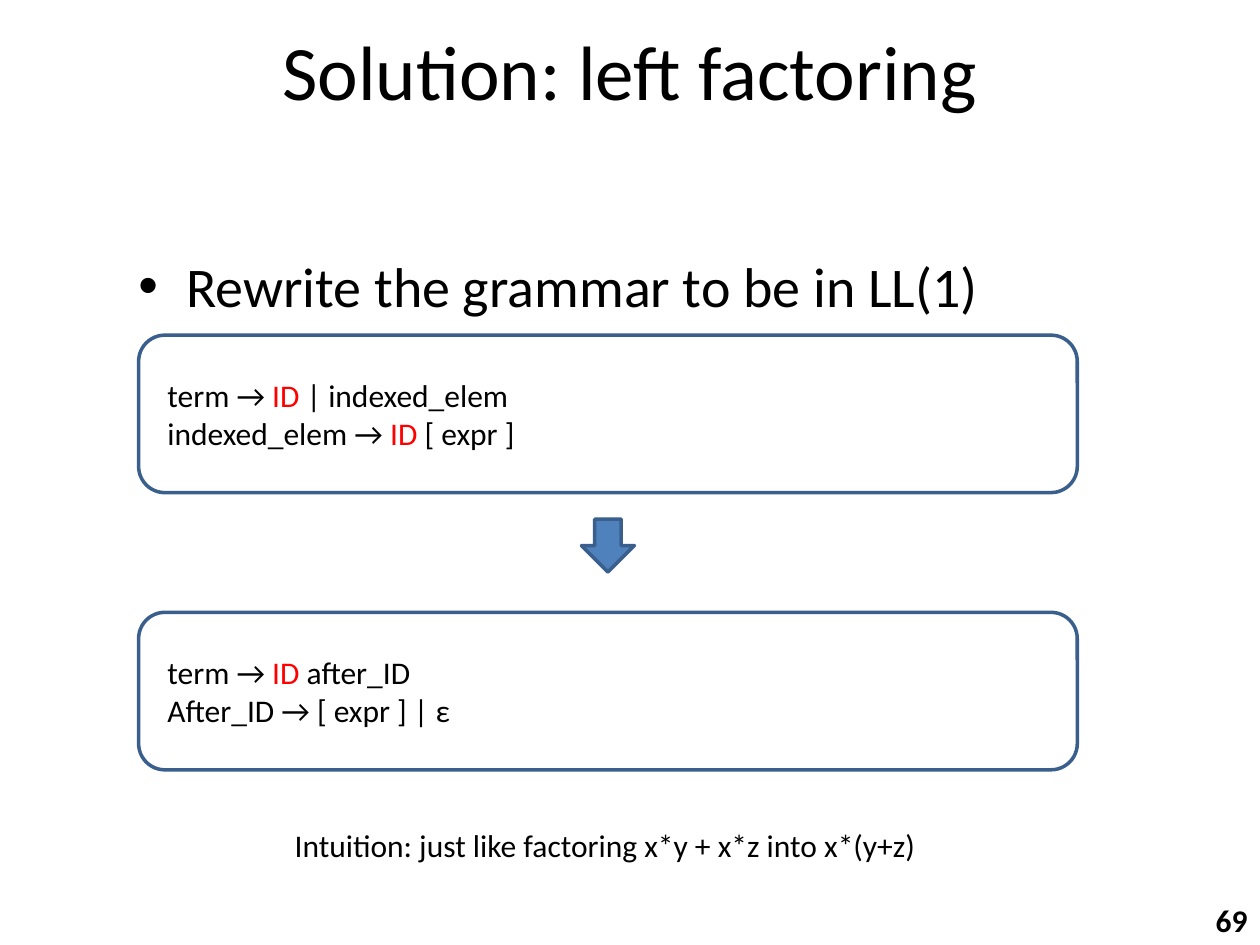
from pptx import Presentation
from pptx.dml.color import RGBColor
from pptx.enum.shapes import MSO_SHAPE as Shape
from pptx.enum.text import MSO_ANCHOR as Anchor, MSO_AUTO_SIZE as AutoSize, PP_ALIGN as Align
from pptx.oxml.ns import qn
from pptx.util import Inches, Pt
from lxml import etree

BLACK = RGBColor(0x00, 0x00, 0x00)
RED = RGBColor(0xFF, 0x00, 0x00)
BLUE = RGBColor(0x4F, 0x81, 0xBD)
DARK_BLUE = RGBColor(0x3A, 0x5F, 0x8C)
FONT = "Calibri"

BOX_LEFT, BOX_WIDTH, BOX_HEIGHT = 1.1, 7.45, 1.25
ARROW_SIZE = 0.42


def set_font(paragraph, size, bold=False):
    font = paragraph.font
    font.name, font.size, font.bold = FONT, Pt(size), bold
    font.color.rgb = BLACK


def set_indent(paragraph, left, first=0, bullet=None):
    properties = paragraph._p.get_or_add_pPr()
    properties.set("marL", str(Inches(left)))
    properties.set("indent", str(Inches(first)))
    if bullet:
        etree.SubElement(properties, qn("a:buFont")).set("typeface", "Arial")
        etree.SubElement(properties, qn("a:buChar")).set("char", bullet)


def add_text(slide, text, left, top, width, height, size, align=Align.LEFT,
             anchor=Anchor.TOP, wrap=True, bold=False, bullet=None):
    frame = slide.shapes.add_textbox(
        Inches(left), Inches(top), Inches(width), Inches(height)).text_frame
    frame.word_wrap = wrap
    frame.vertical_anchor = anchor
    if not wrap:
        frame.auto_size = AutoSize.SHAPE_TO_FIT_TEXT
    paragraph = frame.paragraphs[0]
    paragraph.text = text
    paragraph.alignment = align
    if bullet:
        set_indent(paragraph, 0.38, -0.38, bullet)
    set_font(paragraph, size, bold)


def add_outlined_shape(slide, kind, left, top, width, height, fill=None):
    shape = slide.shapes.add_shape(
        kind, Inches(left), Inches(top), Inches(width), Inches(height))
    shape.shadow.inherit = False
    if fill is None:
        shape.fill.background()
    else:
        shape.fill.solid()
        shape.fill.fore_color.rgb = fill
    shape.line.color.rgb = DARK_BLUE
    shape.line.width = Pt(2)
    return shape


def add_grammar_box(slide, top, rules):
    """Each rule is a list of (text, colour) parts."""
    shape = add_outlined_shape(
        slide, Shape.ROUNDED_RECTANGLE, BOX_LEFT, top, BOX_WIDTH, BOX_HEIGHT)
    frame = shape.text_frame
    frame.word_wrap = True
    frame.vertical_anchor = Anchor.MIDDLE
    for index, rule in enumerate(rules):
        paragraph = frame.add_paragraph() if index else frame.paragraphs[0]
        paragraph.alignment = Align.LEFT
        set_indent(paragraph, 0.07)
        set_font(paragraph, 18)
        for text, color in rule:
            run = paragraph.add_run()
            run.text = text
            run.font.color.rgb = color


def main():
    presentation = Presentation()
    presentation.slide_width, presentation.slide_height = Inches(10), Inches(7.5)
    slide = presentation.slides.add_slide(presentation.slide_layouts[6])

    # Title, bullet and closing remark
    add_text(slide, "Solution: left factoring", 0.5, 0.13, 9, 0.85, 44,
             align=Align.CENTER, anchor=Anchor.MIDDLE)
    add_text(slide, "Rewrite the grammar to be in LL(1)", 1, 1.95, 8.5, 0.63, 32,
             bullet="•")
    add_text(slide, "Intuition: just like factoring x*y + x*z into x*(y+z)",
             2.24, 6.51, 5.29, 0.4, 18, wrap=False)

    # Arrow centred on the boxes
    add_outlined_shape(slide, Shape.DOWN_ARROW, BOX_LEFT + (BOX_WIDTH - ARROW_SIZE) / 2,
                       4.12, ARROW_SIZE, ARROW_SIZE, BLUE)

    # Grammar before and after factoring
    add_grammar_box(slide, 2.66, [
        [("term → ", BLACK), ("ID", RED), (" | indexed_elem", BLACK)],
        [("indexed_elem → ", BLACK), ("ID", RED), (" [ expr ]", BLACK)],
    ])
    add_grammar_box(slide, 4.86, [
        [("term → ", BLACK), ("ID ", RED), ("after_ID", BLACK)],
        [("After_ID → [ expr ] | ε", BLACK)],
    ])

    # Page number
    add_text(slide, "69", 9.49, 7.1, 0.51, 0.4, 18, align=Align.RIGHT, bold=True)

    presentation.save("out.pptx")


if __name__ == "__main__":
    main()
